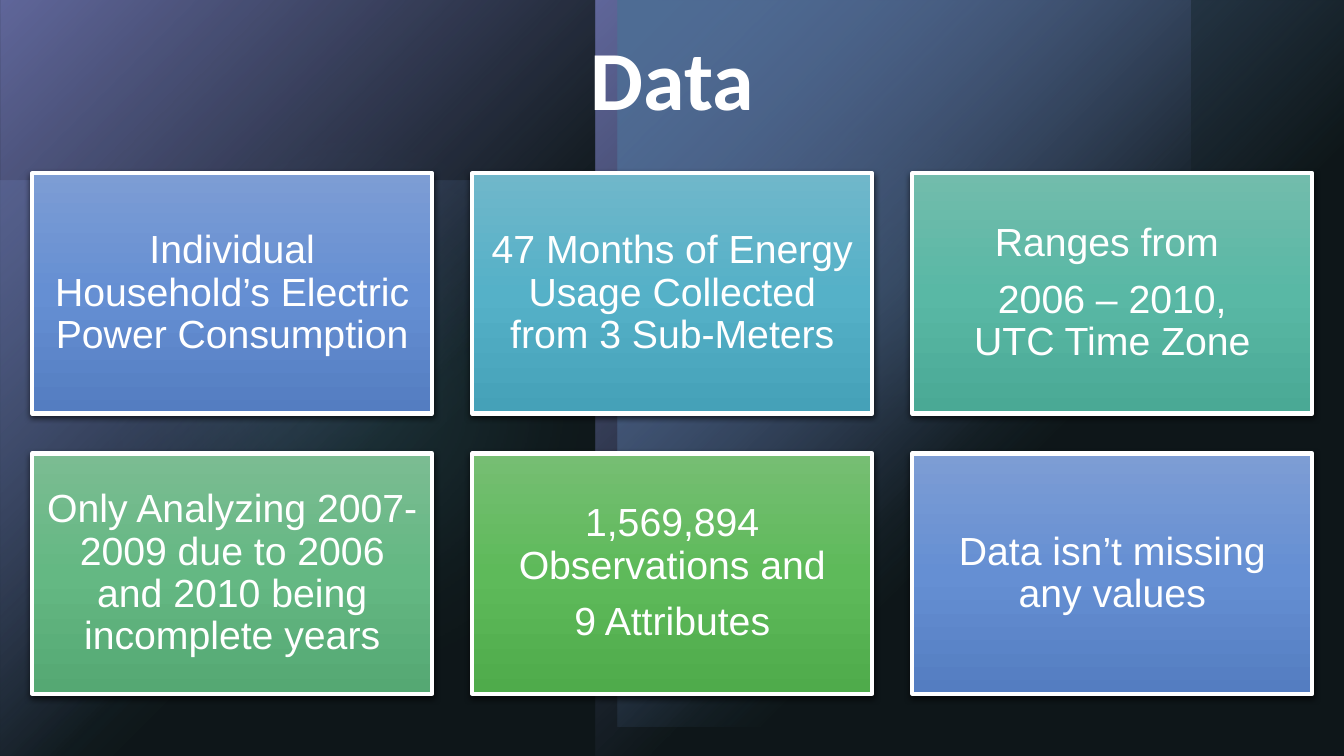
from dataclasses import dataclass

from lxml import etree
from pptx import Presentation
from pptx.dml.color import RGBColor
from pptx.enum.shapes import MSO_SHAPE
from pptx.enum.text import MSO_ANCHOR, PP_ALIGN
from pptx.oxml.ns import nsdecls, qn
from pptx.util import Cm, Pt

RECT, OVAL = MSO_SHAPE.RECTANGLE, MSO_SHAPE.OVAL
CENTER, MIDDLE = PP_ALIGN.CENTER, MSO_ANCHOR.MIDDLE


@dataclass(frozen=True)
class Theme:
    white: str = "FFFFFF"
    black: str = "000000"
    blue: str = "6A90CE"
    teal: str = "5AAEC3"
    purple: str = "8885D7"
    slate: str = "24393F"
    card_blue: tuple = ("7D9DD4", "658FD3", "547DC1")
    card_cyan: tuple = ("70B7CA", "55B1C8", "45A1B8")
    card_teal: tuple = ("72BCAC", "59B8A5", "4AA995")
    card_mint: tuple = ("7BBC92", "64B883", "55A873")
    card_green: tuple = ("76BE73", "5EBA5A", "4FAB4B")
    title_font: str = "Calibri"
    body_font: str = "Arial"
    title_size: int = 60
    body_size: int = 28


T = Theme()
RADIAL = ('<a:path path="circle"><a:fillToRect r="100000" b="100000"/></a:path>')
DOWNWARD = '<a:lin ang="5400000" scaled="0"/>'
SOFT_EDGE = f'<a:softEdge {nsdecls("a")} rad="1270000"/>'
CARD_SHADOW = (f'<a:outerShdw {nsdecls("a")} blurRad="57150" dist="19050" dir="5400000" '
               f'algn="ctr" rotWithShape="0"><a:srgbClr val="{T.black}">'
               '<a:alpha val="63000"/></a:srgbClr></a:outerShdw>')


def paint(sp, stops, shade=None, effect=None):
    """Fill with (position, colour, opacity) stops; one stop gives a solid fill."""
    colors = [f'<a:srgbClr val="{c}"><a:alpha val="{a * 1000}"/></a:srgbClr>'
              for _, c, a in stops]
    if shade:
        gs = "".join(f'<a:gs pos="{stop[0] * 1000}">{c}</a:gs>'
                     for stop, c in zip(stops, colors))
        xml = (f'<a:gradFill {nsdecls("a")} rotWithShape="1">'
               f'<a:gsLst>{gs}</a:gsLst>{shade}</a:gradFill>')
    else:
        xml = f'<a:solidFill {nsdecls("a")}>{colors[0]}</a:solidFill>'
    sp.fill.background()
    sp.shadow.inherit = False
    spPr = sp._element.spPr
    spPr.replace(spPr.find(qn("a:noFill")), etree.fromstring(xml))
    if effect:
        spPr.find(qn("a:effectLst")).append(etree.fromstring(effect))


def write(tf, paragraphs, font, size, bold=False, after=0):
    tf.word_wrap = True
    for i, text in enumerate(paragraphs):
        p = tf.paragraphs[0] if i == 0 else tf.add_paragraph()
        p.alignment = CENTER
        p.line_spacing = 0.9
        p.space_after = Pt(after)
        for j, line in enumerate(text.split("\n")):
            if j:
                p.add_line_break()
            r = p.add_run()
            r.text = line
            r.font.name, r.font.size, r.font.bold = font, Pt(size), bold
            r.font.color.rgb = RGBColor.from_string(T.white)


prs = Presentation()
prs.slide_width, prs.slide_height = Cm(33.87), Cm(19.05)
s = prs.slides.add_slide(prs.slide_layouts[6])
s.background.fill.solid()
s.background.fill.fore_color.rgb = RGBColor.from_string(T.black)

# Layered backdrop
blue_haze = [(0, T.blue, 60), (60, T.blue, 0)]
blue_glow = [(0, T.blue, 100), (60, T.blue, 0)]
purple_glow = [(0, T.purple, 100), (60, T.purple, 0)]
backdrop = [
    # preset, left, top, width, height, rotation, flips, stops, shade, effect
    (RECT, 0, 4.56, 14.49, 14.49, 0, "V", blue_haze, RADIAL, None),
    (OVAL, 15.98, 1.09, 12, 12, 0, "V", [(0, T.teal, 60)], None, SOFT_EDGE),
    (OVAL, 0, 1.42, 17.63, 17.63, 0, "V", [(0, T.teal, 20)], None, SOFT_EDGE),
    (RECT, 0, 0, 15, 19.05, 180, "V", purple_glow, RADIAL, None),
    (RECT, 15, 0, 15, 19.05, 180, "HV", purple_glow, RADIAL, None),
    (RECT, 15.56, 0, 18.31, 18.31, 180, "V", blue_glow, RADIAL, None),
    (RECT, 0, 0, 33.87, 19.05, 0, "", [(0, T.slate, 40)], None, None),
]
for preset, x, y, w, h, rotation, flips, stops, shade, effect in backdrop:
    sp = s.shapes.add_shape(preset, Cm(x), Cm(y), Cm(w), Cm(h))
    sp.rotation = rotation
    for axis in flips:
        sp._element.spPr.xfrm.set("flip" + axis, "1")
    sp.line.fill.background()
    paint(sp, stops, shade, effect)

# Title
title = s.shapes.add_textbox(Cm(12.42), Cm(0.84), Cm(9.04), Cm(3.1))
write(title.text_frame, ["Data"], T.title_font, T.title_size, bold=True)

# Cards in a grid of three columns
COLUMNS = 3
LEFT, TOP, CARD_W, CARD_H = 0.81, 4.37, 10.08, 6.05
PITCH_X, PITCH_Y = 11.09, 7.06
cards = [
    (T.card_blue, ["Individual Household’s Electric Power Consumption"]),
    (T.card_cyan, ["47 Months of Energy Usage Collected from 3 Sub-Meters"]),
    (T.card_teal, ["Ranges from ", "2006 – 2010,\nUTC Time Zone"]),
    (T.card_mint, ["Only Analyzing 2007-2009 due to 2006 and 2010 being incomplete years"]),
    (T.card_green, ["1,569,894 Observations and", "9 Attributes"]),
    (T.card_blue, ["Data isn’t missing any values"]),
]
for i, (shades, paragraphs) in enumerate(cards):
    row, col = divmod(i, COLUMNS)
    sp = s.shapes.add_shape(RECT, Cm(LEFT + col * PITCH_X), Cm(TOP + row * PITCH_Y),
                            Cm(CARD_W), Cm(CARD_H))
    sp.line.color.rgb = RGBColor.from_string(T.white)
    sp.line.width = Pt(3)
    paint(sp, [(pos, c, 100) for pos, c in zip((0, 50, 100), shades)],
          DOWNWARD, CARD_SHADOW)
    tf = sp.text_frame
    tf.vertical_anchor = MIDDLE
    tf.margin_left = tf.margin_right = tf.margin_top = tf.margin_bottom = Cm(0.3)
    write(tf, paragraphs, T.body_font, T.body_size, after=10)

prs.save("out.pptx")
